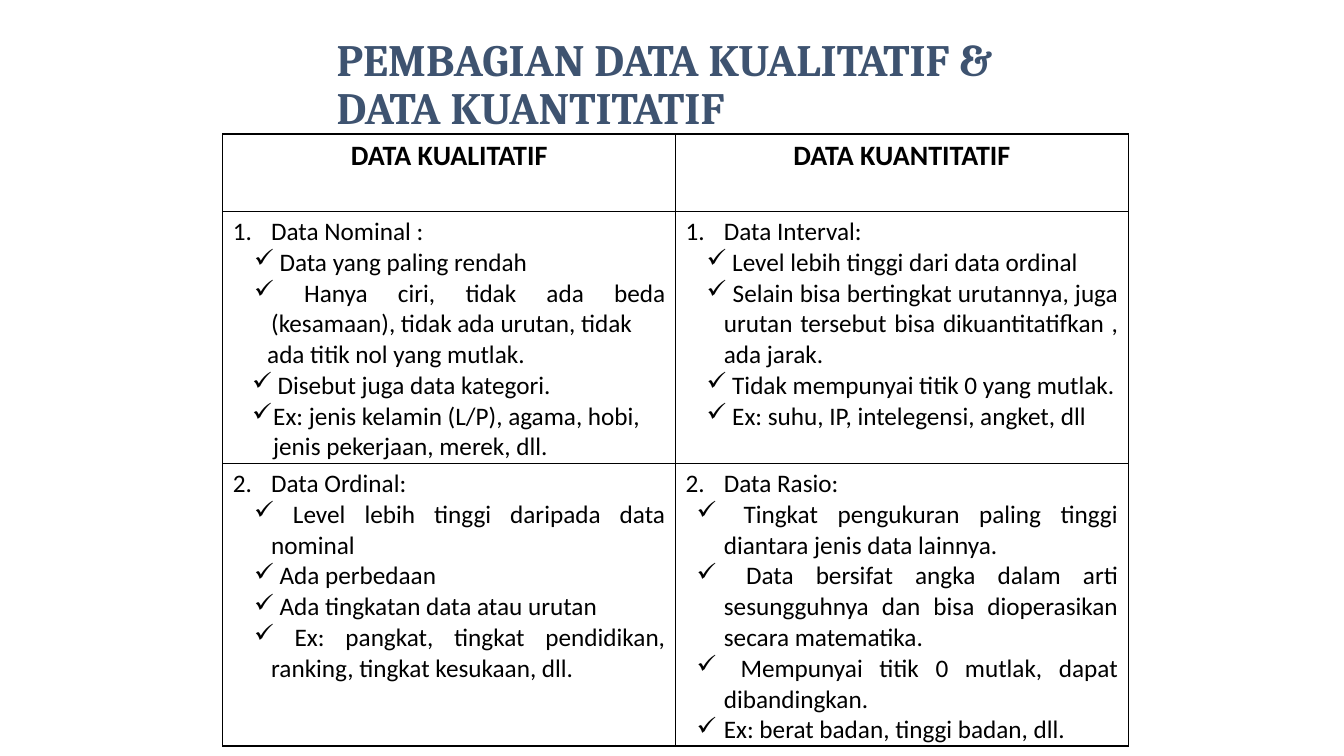
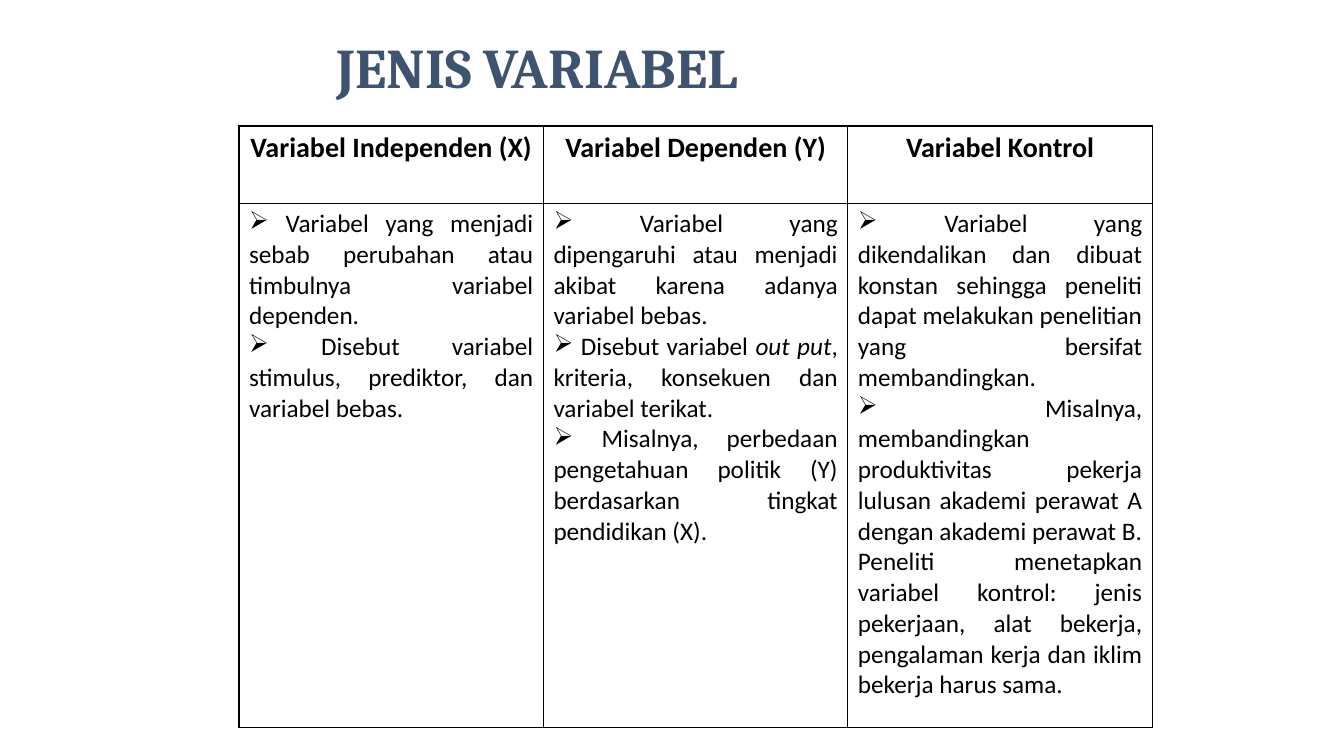
"""Build two slides that compare kinds of data and kinds of variables."""
import dataclasses
import typing

import pptx
import pptx.dml.color
import pptx.enum.text
import pptx.oxml.ns
import pptx.util
from lxml import etree

SCALE = 9144
ALIGN = pptx.enum.text.PP_ALIGN
ANCHOR = pptx.enum.text.MSO_ANCHOR


@dataclasses.dataclass(frozen=True)
class Theme:
    """Colours, fonts and type sizes."""
    ink: str = "000000"
    navy: str = "3E5370"
    paper: str = "FFFFFF"
    serif: str = "Cambria"
    sans: str = "Calibri"
    head: int = 20
    body: int = 18
    line: int = 1


@dataclasses.dataclass(frozen=True)
class Item:
    """One paragraph with its bullet and indents in px."""
    text: str
    mark: str = ""
    left: int = 0
    hang: int = 0
    start: int = 0
    align: typing.Any = ALIGN.JUSTIFY


@dataclasses.dataclass(frozen=True)
class Page:
    """One slide: its title and its table, with lengths in px."""
    title: str
    size: int
    tall: int
    left: int
    top: int
    wide: int
    rows: tuple[int, ...]
    heads: tuple[str, ...]
    cells: tuple[tuple[tuple[Item, ...], ...], ...]


THEME = Theme()


def px(count: int) -> pptx.util.Emu:
    """Turn px into EMU."""
    return pptx.util.Emu(count * SCALE)


def tint(code: str) -> pptx.dml.color.RGBColor:
    """Turn a hex code into a colour."""
    return pptx.dml.color.RGBColor.from_string(code)


def put(thing: typing.Any, form: dict[str, typing.Any]) -> None:
    """Set each format value on an object."""
    for name, value in form.items():
        setattr(thing, name, value)


def node(root: typing.Any, tag: str, **attrs: str) -> typing.Any:
    """Add a drawing element to a parent."""
    return etree.SubElement(root, pptx.oxml.ns.qn("a:" + tag), attrs)


def write(para: typing.Any, text: str, face: str, size: int, code: str, bold: bool) -> None:
    """Write styled runs, with italics between asterisks."""
    for rank, part in enumerate(text.split("*")):
        run = para.add_run()
        run.text = part
        put(run.font, {"name": face, "size": pptx.util.Pt(size), "bold": bold,
                       "italic": rank % 2 == 1})
        run.font.color.rgb = tint(code)


def bullet(para: typing.Any, item: Item) -> None:
    """Set the indents and the bullet of a paragraph."""
    props = para._p.get_or_add_pPr()
    props.set("marL", str(px(item.left)))
    props.set("indent", str(px(item.hang)))
    if item.start:
        node(props, "buAutoNum", type="arabicPeriod", startAt=str(item.start))
    elif item.mark:
        node(props, "buChar", char=item.mark)
    else:
        node(props, "buNone")


def border(cell: typing.Any) -> None:
    """Draw the four edges of a cell."""
    props = cell._tc.get_or_add_tcPr()
    for edge in ("lnL", "lnR", "lnT", "lnB"):
        line = node(props, edge, w=str(pptx.util.Pt(THEME.line)))
        node(node(line, "solidFill"), "srgbClr", val=THEME.ink)


def fill(cell: typing.Any, items: tuple[Item, ...], size: int, bold: bool) -> None:
    """Fill one cell with paragraphs."""
    border(cell)
    cell.fill.solid()
    cell.fill.fore_color.rgb = tint(THEME.paper)
    frame = cell.text_frame
    for rank, item in enumerate(items):
        para = frame.add_paragraph() if rank else frame.paragraphs[0]
        bullet(para, item)
        para.alignment = item.align
        write(para, item.text, THEME.sans, size, THEME.ink, bold)


def title(slide: typing.Any, page: Page) -> None:
    """Add the slide title."""
    box = slide.shapes.add_textbox(px(324), px(30), px(820), px(page.tall))
    put(box.text_frame, {"word_wrap": True, "vertical_anchor": ANCHOR.MIDDLE})
    para = box.text_frame.paragraphs[0]
    para.line_spacing = 0.9
    for rank, line in enumerate(page.title.split("\n")):
        if rank:
            para.add_line_break()
        write(para, line, THEME.serif, page.size, THEME.navy, True)


def grid(slide: typing.Any, page: Page) -> None:
    """Add the table of a page."""
    count = len(page.heads)
    table = slide.shapes.add_table(len(page.rows), count, px(page.left), px(page.top),
                                   px(page.wide), px(sum(page.rows))).table
    put(table, {"first_row": False, "horz_banding": False})
    for row, tall in zip(table.rows, page.rows):
        row.height = px(tall)
    for spot, head in enumerate(page.heads):
        table.columns[spot].width = px(page.wide // count)
        fill(table.cell(0, spot), (Item(head, align=ALIGN.CENTER),), THEME.head, True)
    for down, row in enumerate(page.cells, 1):
        for spot, items in enumerate(row):
            fill(table.cell(down, spot), items, THEME.body, False)


def step(start: int, text: str) -> Item:
    """Make a numbered heading."""
    return Item(text, left=38, hang=-38, start=start)


def ticks(*texts: str, hang: int = -17) -> tuple[Item, ...]:
    """Make ticked points."""
    return tuple(Item(text, "✓", 38, hang) for text in texts)


def darts(*texts: str) -> tuple[Item, ...]:
    """Make points marked with arrowheads."""
    return tuple(Item(" " + text, "➢") for text in texts)


PAGES = (
    Page(
        "PEMBAGIAN DATA KUALITATIF &\nDATA KUANTITATIF", 32, 111,
        221, 133, 898, (77, 250, 280),
        ("DATA KUALITATIF", "DATA KUANTITATIF"),
        (
            (
                (step(1, "Data Nominal :"),
                 *ticks(" Data yang paling rendah",
                        " Hanya ciri, tidak ada beda (kesamaan), tidak ada urutan, tidak"),
                 Item("ada titik nol yang mutlak.", left=34, align=ALIGN.LEFT),
                 Item(" Disebut juga data kategori.", "✓", 19, align=ALIGN.LEFT),
                 Item("Ex: jenis kelamin (L/P), agama, hobi, jenis pekerjaan, merek, dll.",
                      "✓", 40, -21, align=ALIGN.LEFT)),
                (step(1, "Data Interval:"),
                 *ticks(" Level lebih tinggi dari data ordinal",
                        " Selain bisa bertingkat urutannya, juga urutan tersebut bisa "
                        "dikuantitatifkan , ada jarak.",
                        " Tidak mempunyai titik 0 yang mutlak.",
                        " Ex: suhu, IP, intelegensi, angket, dll")),
            ),
            (
                (step(2, "Data Ordinal:"),
                 *ticks(" Level lebih tinggi daripada data nominal",
                        " Ada perbedaan",
                        " Ada tingkatan data atau urutan",
                        " Ex: pangkat, tingkat pendidikan, ranking, tingkat kesukaan, dll.")),
                (step(2, "Data Rasio:"),
                 *ticks(" Tingkat pengukuran paling tinggi diantara jenis data lainnya.",
                        " Data bersifat angka dalam arti sesungguhnya dan bisa "
                        "dioperasikan secara matematika.",
                        " Mempunyai titik 0 mutlak, dapat dibandingkan.",
                        "Ex: berat badan, tinggi badan, dll.", hang=-27)),
            ),
        ),
    ),
    Page(
        "JENIS VARIABEL", 40, 79,
        237, 125, 907, (77, 520),
        ("Variabel Independen (X)", "Variabel Dependen (Y)", "Variabel Kontrol"),
        (
            (
                darts("Variabel yang menjadi sebab perubahan atau timbulnya variabel dependen.",
                      "Disebut variabel stimulus, prediktor, dan variabel bebas."),
                darts("Variabel yang dipengaruhi atau menjadi akibat karena adanya "
                      "variabel bebas.",
                      "Disebut variabel *out put*, kriteria, konsekuen dan variabel terikat.",
                      "Misalnya, perbedaan pengetahuan politik (Y) berdasarkan tingkat "
                      "pendidikan (X)."),
                darts("Variabel yang dikendalikan dan dibuat konstan sehingga peneliti "
                      "dapat melakukan penelitian yang bersifat membandingkan.",
                      "Misalnya, membandingkan produktivitas pekerja lulusan akademi "
                      "perawat A dengan akademi perawat B. Peneliti menetapkan variabel "
                      "kontrol: jenis pekerjaan, alat bekerja, pengalaman kerja dan iklim "
                      "bekerja harus sama."),
            ),
        ),
    ),
)


def main() -> None:
    """Build and save the deck."""
    deck = pptx.Presentation()
    put(deck, {"slide_width": px(1333), "slide_height": px(750)})
    for page in PAGES:
        slide = deck.slides.add_slide(deck.slide_layouts[6])
        title(slide, page)
        grid(slide, page)
    deck.save("out.pptx")


if __name__ == "__main__":
    main()
